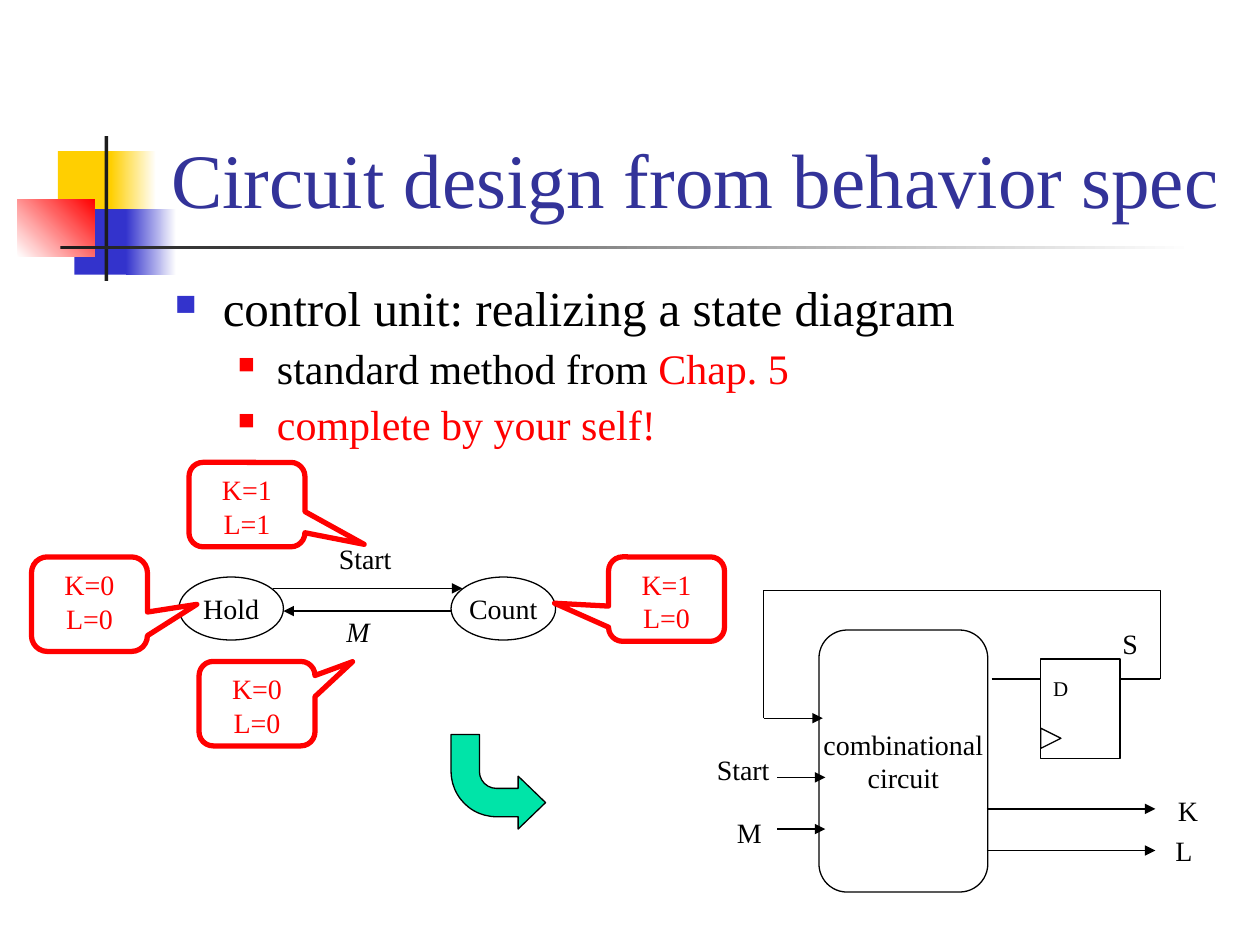
from lxml import etree
from pptx import Presentation
from pptx.dml.color import RGBColor
from pptx.enum.shapes import MSO_CONNECTOR, MSO_SHAPE
from pptx.enum.text import MSO_ANCHOR, PP_ALIGN
from pptx.oxml.ns import qn
from pptx.util import Pt

PX = 9144
FONT = "Times New Roman"
BLACK = RGBColor(0x00, 0x00, 0x00)
WHITE = RGBColor(0xFF, 0xFF, 0xFF)
RED = RGBColor(0xFF, 0x00, 0x00)
YELLOW = RGBColor(0xFF, 0xCF, 0x01)
BLUE = RGBColor(0x33, 0x33, 0xCC)
TITLE_BLUE = RGBColor(0x33, 0x33, 0x99)
CHARCOAL = RGBColor(0x1C, 0x1C, 0x1C)
GREEN = RGBColor(0x00, 0xE4, 0xA8)

RECTANGLE = MSO_SHAPE.RECTANGLE
ROUNDED = MSO_SHAPE.ROUNDED_RECTANGLE
OVAL = MSO_SHAPE.OVAL
TRIANGLE = MSO_SHAPE.ISOSCELES_TRIANGLE
BENT_ARROW = MSO_SHAPE.BENT_ARROW
CALLOUT = MSO_SHAPE.ROUNDED_RECTANGULAR_CALLOUT
STRAIGHT = MSO_CONNECTOR.STRAIGHT
ELBOW = MSO_CONNECTOR.ELBOW
LEFT, CENTER = PP_ALIGN.LEFT, PP_ALIGN.CENTER
TOP, MIDDLE, BOTTOM = MSO_ANCHOR.TOP, MSO_ANCHOR.MIDDLE, MSO_ANCHOR.BOTTOM


def place(box, left, top, width, height):
    return [value * PX for value in (box[0] + left, box[1] + top, width, height)]


def write_text(shape, lines, size=16, color=BLACK, italic=False, align=LEFT,
               anchor=TOP, wrap=False, spacing=None):
    frame = shape.text_frame
    frame.word_wrap = wrap
    frame.vertical_anchor = anchor
    for index, line in enumerate(lines):
        paragraph = frame.add_paragraph() if index else frame.paragraphs[0]
        paragraph.alignment = align
        paragraph.line_spacing = spacing
        add_run(paragraph, line, size, color, italic)


def add_run(paragraph, text, size, color, italic=False):
    run = paragraph.add_run()
    run.text = text
    run.font.name = FONT
    run.font.size = Pt(size)
    run.font.italic = italic
    run.font.color.rgb = color


def add_figure(shapes, kind, position, fill=None, line=None, width=0.75,
               adjustments=()):
    shape = shapes.add_shape(kind, *position)
    shape.shadow.inherit = False
    if fill is None:
        shape.fill.background()
    else:
        shape.fill.solid()
        shape.fill.fore_color.rgb = fill
    if line is None:
        shape.line.fill.background()
    else:
        shape.line.color.rgb = line
        shape.line.width = Pt(width)
    for index, value in enumerate(adjustments):
        shape.adjustments[index] = value
    return shape


def add_fade(shapes, position, first, last, angle=0):
    shape = add_figure(shapes, RECTANGLE, position)
    shape.fill.gradient()
    shape.fill.gradient_angle = angle
    for stop, color in zip(shape.fill.gradient_stops, (first, last)):
        stop.color.rgb = color


def add_label(shapes, position, text, **text_format):
    write_text(shapes.add_textbox(*position), [text], **text_format)


def add_wire(shapes, box, start, end, arrow=False, kind=STRAIGHT):
    points = [(box[axis] + point[axis]) * PX
              for point in (start, end) for axis in (0, 1)]
    wire = shapes.add_connector(kind, *points)
    wire.line.color.rgb = BLACK
    wire.line.width = Pt(0.75)
    if arrow:
        etree.SubElement(wire.line._ln, qn("a:tailEnd"), type="triangle")
    etree.SubElement(wire._element.spPr, qn("a:effectLst"))
    return wire


def draw_ornament(slide, box):
    shapes = slide.shapes
    add_figure(shapes, RECTANGLE, place(box, 32, 12, 48, 52), YELLOW)
    add_fade(shapes, place(box, 74, 12, 36, 52), YELLOW, WHITE)
    add_figure(shapes, RECTANGLE, place(box, 45, 58, 46, 52), BLUE)
    add_fade(shapes, place(box, 86, 58, 40, 52), BLUE, WHITE)
    add_fade(shapes, place(box, 0, 50, 61, 46), WHITE, RED, 45)
    add_figure(shapes, RECTANGLE, place(box, 69, 0, 3, 115), CHARCOAL)
    add_fade(shapes, place(box, 34, 87, 900, 3), CHARCOAL, WHITE)


def draw_title(slide, box):
    title = slide.shapes.add_textbox(*place(box, 0, 0, 852, 160))
    write_text(title, ["Circuit design from behavior spec"], size=44,
               color=TITLE_BLUE, anchor=BOTTOM, wrap=True, spacing=1.05)


def draw_outline(slide, box):
    frame = slide.shapes.add_textbox(*place(box, 0, 0, 850, 146)).text_frame
    frame.word_wrap = True
    items = [
        (0, [("control unit: realizing a state diagram", BLACK)]),
        (1, [("standard method from ", BLACK), ("Chap. 5", RED)]),
        (1, [("complete by your self!", RED)]),
    ]
    styles = [(38, 38, BLUE, 60, 28), (81, 31, RED, 55, 24)]
    for index, (level, runs) in enumerate(items):
        margin, hanging, bullet_color, bullet_size, size = styles[level]
        paragraph = frame.add_paragraph() if index else frame.paragraphs[0]
        paragraph.level = level
        paragraph.line_spacing = 0.9
        paragraph.space_before = Pt(6 if index else 0)
        properties = paragraph._p.get_or_add_pPr()
        properties.set("marL", str(margin * PX))
        properties.set("indent", str(-hanging * PX))
        color = etree.SubElement(properties, qn("a:buClr"))
        etree.SubElement(color, qn("a:srgbClr"), val=str(bullet_color))
        etree.SubElement(properties, qn("a:buSzPct"), val=str(bullet_size * 1000))
        etree.SubElement(properties, qn("a:buChar"), char="■")
        for text, text_color in runs:
            add_run(paragraph, text, size, text_color)


def draw_turn_arrow(slide, box):
    arrow = add_figure(slide.shapes, BENT_ARROW, place(box, 0, 0, 75, 75), GREEN,
                       BLACK, adjustments=(0.3, 0.28, 0.29, 0.48))
    arrow._element.spPr.xfrm.set("flipV", "1")


def draw_state_diagram(slide, box):
    shapes = slide.shapes.add_group_shape().shapes
    for left, name in ((0, "Hold"), (216, "Count")):
        state = add_figure(shapes, OVAL, place(box, left, 33, 83, 50), line=BLACK)
        write_text(state, [name], align=CENTER, anchor=MIDDLE)
    add_wire(shapes, box, (75, 42), (225, 42), arrow=True)
    add_label(shapes, place(box, 117, 0, 62, 37), "Start")
    add_wire(shapes, box, (216, 60), (83, 60), arrow=True)
    add_label(shapes, place(box, 123, 58, 38, 37), "M", italic=True)


def draw_callouts(slide, box):
    callouts = [
        (0, 75, 75, (0.926, 0.002), ["K=0", "L=0"]),
        (458, 75, 67, (-0.966, 0.049), ["K=1", "L=0"]),
        (125, 0, 67, (1.011, 0.471), ["K=1", "L=1"]),
        (133, 158, 67, (0.824, -0.497), ["K=0", "L=0"]),
    ]
    for left, top, height, pointer, lines in callouts:
        callout = add_figure(slide.shapes, CALLOUT, place(box, left, top, 92, height),
                             WHITE, RED, 3, pointer)
        write_text(callout, lines, color=RED, align=CENTER, wrap=True)


def draw_circuit(slide, box):
    shapes = slide.shapes.add_group_shape().shapes
    add_figure(shapes, RECTANGLE, place(box, 267, 56, 63, 79), line=BLACK)
    add_label(shapes, place(box, 267, 64, 32, 30), "D", size=12)
    clock = add_figure(shapes, TRIANGLE, place(box, 267, 111, 16, 16), line=BLACK)
    clock.rotation = 90
    block = add_figure(shapes, ROUNDED, place(box, 91, 33, 134, 208), line=BLACK)
    write_text(block, ["combinational", "circuit"], align=CENTER, anchor=MIDDLE)

    add_wire(shapes, box, (330, 72), (362, 72))
    add_wire(shapes, box, (228, 72), (267, 72))
    add_wire(shapes, box, (47, 103), (94, 103), arrow=True)
    for y in (150, 191):
        add_wire(shapes, box, (58, y), (96, y), arrow=True)
    for y in (175, 208):
        add_wire(shapes, box, (224, y), (358, y), arrow=True)

    feedback = add_wire(shapes, box, (189, -70), (220, 245), kind=ELBOW)
    properties = feedback._element.spPr
    properties.find(qn("a:xfrm")).set("rot", "5400000")
    guides = properties.find(qn("a:prstGeom")).find(qn("a:avLst"))
    etree.SubElement(guides, qn("a:gd"), name="adj1", fmla="val -227000")

    for left, top, width, name in ((0, 125, 62, "Start"), (16, 175, 39, "M"),
                                   (322, 25, 32, "S"), (366, 158, 36, "K"),
                                   (364, 190, 33, "L")):
        add_label(shapes, place(box, left, top, width, 37), name)


def main():
    presentation = Presentation()
    presentation.slide_width = 1000 * PX
    presentation.slide_height = 750 * PX
    slide = presentation.slides.add_slide(presentation.slide_layouts[6])
    draw_ornament(slide, (14, 108))
    draw_title(slide, (126, 23))
    draw_outline(slide, (129, 221))
    draw_turn_arrow(slide, (358, 583))
    draw_state_diagram(slide, (142, 425))
    draw_callouts(slide, (25, 367))
    draw_circuit(slide, (559, 467))
    presentation.save("out.pptx")


if __name__ == "__main__":
    main()
